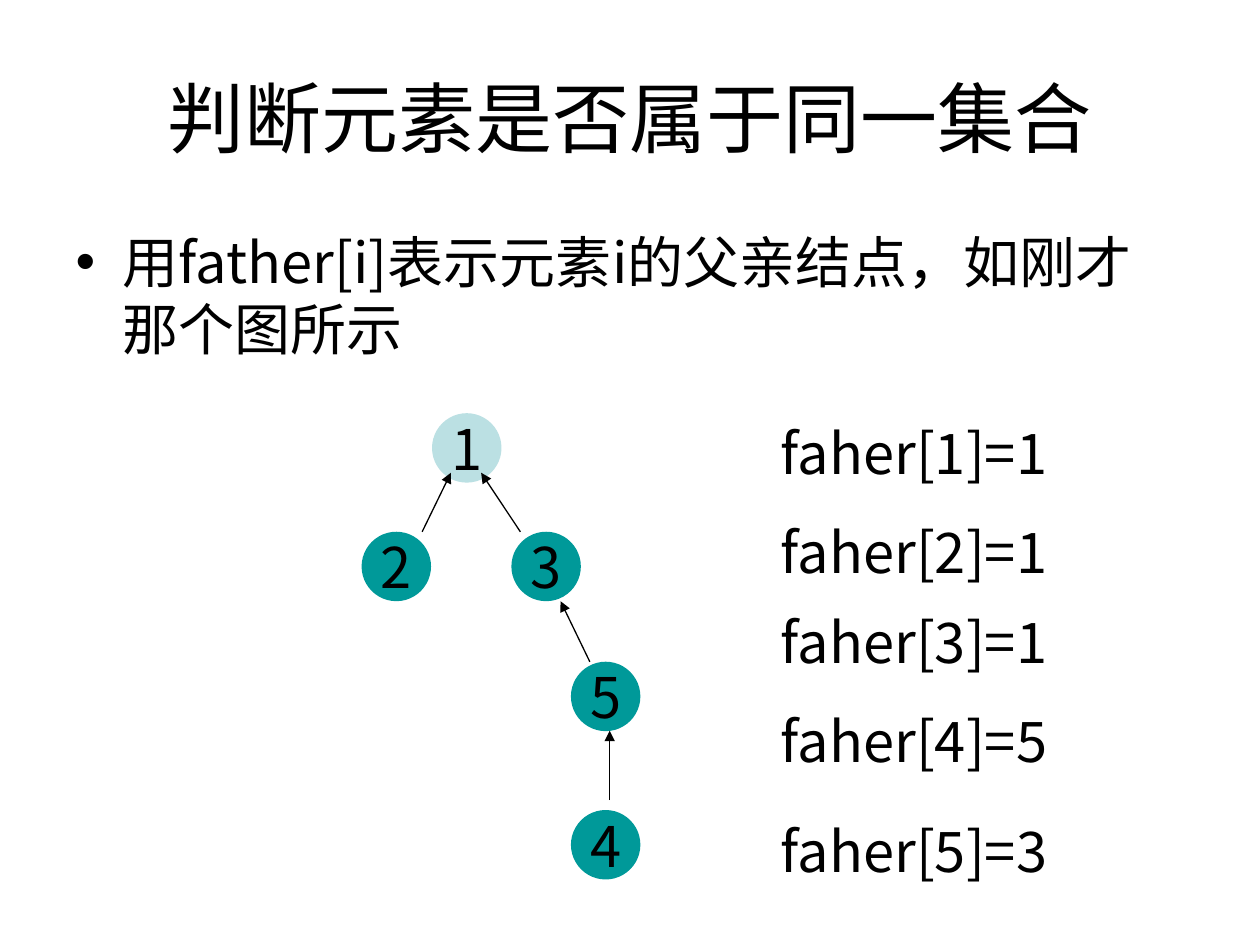
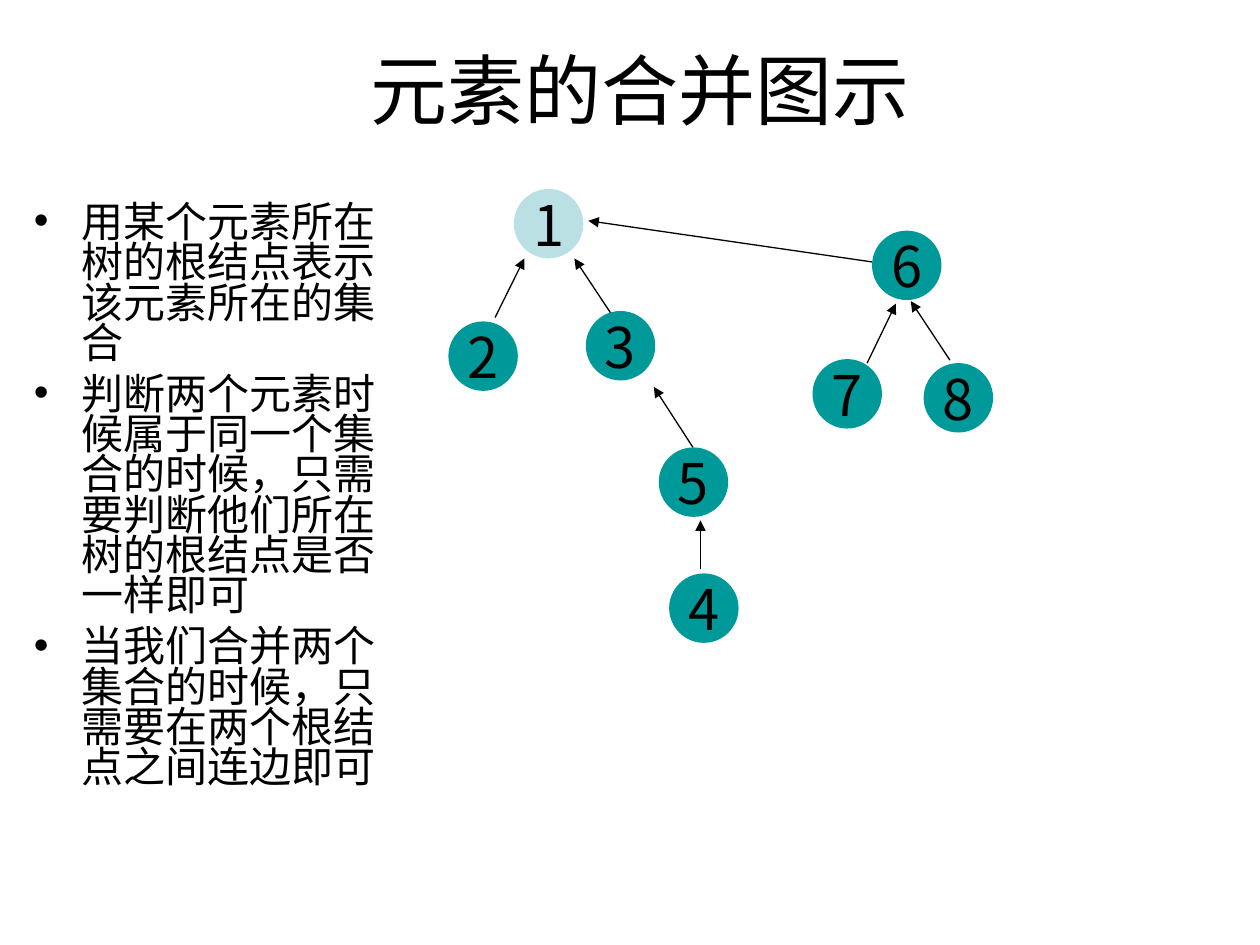
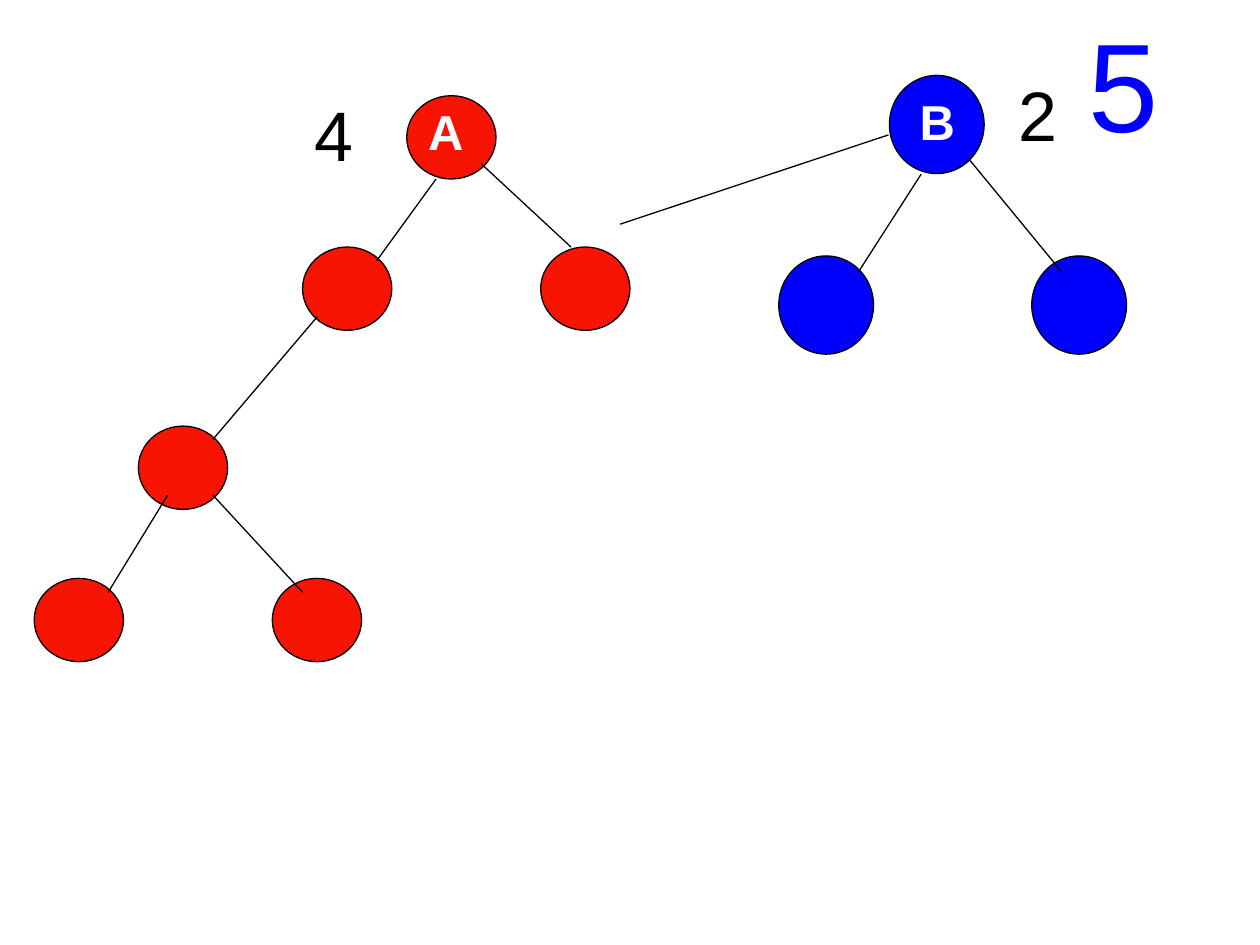
from dataclasses import dataclass
from typing import Any

from lxml import etree
from pptx import Presentation
from pptx import util as u
from pptx.dml.color import RGBColor
from pptx.enum import shapes as es, text as et
from pptx.oxml import ns

INK = {
    "black": "000000",
    "white": "FFFFFF",
    "pale": "BBE0E3",
    "teal": "009999",
    "red": "F71403",
    "blue": "0000FF",
}
LATIN = "Arial"
HAN = "Noto Sans CJK SC"
DISC = 1.4


@dataclass(frozen=True)
class Box:
    left: float
    top: float
    wide: float
    high: float

    def cells(self) -> tuple[u.Length, ...]:
        return tuple(u.Cm(n) for n in (self.left, self.top, self.wide, self.high))


@dataclass(frozen=True)
class Style:
    size: float
    font: str = HAN
    ink: str = "black"
    bold: bool = False


@dataclass(frozen=True)
class Node:
    name: str
    left: float
    top: float
    fill: str = "teal"


@dataclass(frozen=True)
class Edge:
    x: float
    y: float
    to_x: float
    to_y: float


@dataclass(frozen=True)
class Word:
    text: str
    box: Box
    style: Style


@dataclass(frozen=True)
class Tree:
    fill: str
    wide: float
    high: float
    spots: list[tuple[float, float]]
    edges: list[Edge]
    words: list[Word]


HEAD = Style(44, LATIN)
BIG = Style(32)
SMALL = Style(24, LATIN)
MARK = Style(28, LATIN, "white", True)
COUNT = Style(40, LATIN)


def color(name: str) -> RGBColor:
    return RGBColor.from_string(INK[name])


def write(para: Any, text: str, style: Style) -> None:
    run = para.add_run()
    run.text = text
    font = run.font
    font.size, font.name, font.bold = u.Pt(style.size), style.font, style.bold
    font.color.rgb = color(style.ink)
    han = etree.Element(ns.qn("a:ea"), typeface=HAN)
    font._element.find(ns.qn("a:latin")).addnext(han)


def place(shape: Any, box: Box) -> None:
    shape.left, shape.top, shape.width, shape.height = box.cells()


def add_title(slide: Any, text: str, box: Box) -> None:
    title = slide.shapes.title
    place(title, box)
    frame = title.text_frame
    frame.auto_size = et.MSO_AUTO_SIZE.NONE
    frame.vertical_anchor = et.MSO_ANCHOR.MIDDLE
    para = frame.paragraphs[0]
    para.alignment = et.PP_ALIGN.CENTER
    write(para, text, HEAD)


def add_list(slide: Any, items: list[str], box: Box, style: Style,
             pitch: float = 1.0, gap: float = 0) -> None:
    body = slide.placeholders[1]
    place(body, box)
    frame = body.text_frame
    frame.auto_size = et.MSO_AUTO_SIZE.NONE
    for i, item in enumerate(items):
        para = frame.add_paragraph() if i else frame.paragraphs[0]
        para.line_spacing = pitch
        para.space_before = u.Pt(gap if i else 0)
        write(para, item, style)


def add_oval(shapes: Any, box: Box, fill: str, edged: bool = False) -> Any:
    oval = shapes.add_shape(es.MSO_SHAPE.OVAL, *box.cells())
    oval.shadow.inherit = False
    oval.fill.solid()
    oval.fill.fore_color.rgb = color(fill)
    if edged:
        oval.line.color.rgb = color("black")
        oval.line.width = u.Pt(0.75)
    else:
        oval.line.fill.background()
    return oval


def add_node(shapes: Any, node: Node) -> None:
    oval = add_oval(shapes, Box(node.left, node.top, DISC, DISC), node.fill)
    frame = oval.text_frame
    frame.word_wrap = False
    frame.vertical_anchor = et.MSO_ANCHOR.MIDDLE
    para = frame.paragraphs[0]
    para.alignment = et.PP_ALIGN.CENTER
    write(para, node.name, BIG)


def add_edge(shapes: Any, edge: Edge, arrow: bool = False) -> None:
    ends = (u.Cm(n) for n in (edge.x, edge.y, edge.to_x, edge.to_y))
    link = shapes.add_connector(es.MSO_CONNECTOR.STRAIGHT, *ends)
    link.line.color.rgb = color("black")
    link.line.width = u.Pt(0.75)
    props = link._element.spPr
    if arrow:
        line = props.find(ns.qn("a:ln"))
        etree.SubElement(line, ns.qn("a:tailEnd"), type="triangle")
    etree.SubElement(props, ns.qn("a:effectLst"))


def add_word(shapes: Any, word: Word) -> None:
    label = shapes.add_textbox(*word.box.cells())
    label.text_frame.word_wrap = True
    write(label.text_frame.paragraphs[0], word.text, word.style)


def add_tree(slide: Any, tree: Tree) -> None:
    shapes = slide.shapes.add_group_shape().shapes
    for left, top in tree.spots:
        add_oval(shapes, Box(left, top, tree.wide, tree.high), tree.fill, True)
    for edge in tree.edges:
        add_edge(shapes, edge)
    for word in tree.words:
        add_word(shapes, word)


def draw_fathers(slide: Any) -> None:
    add_title(slide, "判断元素是否属于同一集合", Box(1.27, 0.76, 22.86, 3.18))
    add_list(slide, ["用father[i]表示元素i的父亲结点，如刚才那个图所示"],
             Box(1.27, 4.45, 22.86, 12.57), BIG)
    for node in (
        Node("1", 8.71, 8.33, "pale"),
        Node("2", 7.29, 10.72),
        Node("3", 10.31, 10.72),
        Node("5", 11.51, 13.34),
        Node("4", 11.51, 16.33),
    ):
        add_node(slide.shapes, node)
    for edge in (
        Edge(8.51, 10.72, 9.09, 9.53),
        Edge(10.49, 10.72, 9.7, 9.53),
        Edge(11.89, 13.34, 11.3, 12.12),
        Edge(12.29, 16.13, 12.29, 14.73),
    ):
        add_edge(slide.shapes, edge, True)
    rows = zip((1, 1, 1, 5, 3), (8.31, 10.31, 12.12, 14.12, 16.33))
    for i, (father, top) in enumerate(rows, 1):
        box = Box(15.49, top, 6.6, 1.63)
        add_word(slide.shapes, Word(f"faher[{i}]={father}", box, BIG))


def draw_merge(slide: Any) -> None:
    add_title(slide, "元素的合并图示", Box(1.47, 0.2, 22.86, 3.18))
    add_list(slide, [
        "用某个元素所在树的根结点表示该元素所在的集合",
        "判断两个元素时候属于同一个集合的时候，只需要判断他们所在树的根结点是否一样即可",
        "当我们合并两个集合的时候，只需要在两个根结点之间连边即可",
    ], Box(0.43, 4.01, 7.62, 12.57), SMALL, 0.8, 6)
    for edge in (
        Edge(12.37, 6.4, 11.58, 5.21),
        Edge(9.98, 6.4, 10.57, 5.21),
        Edge(14.12, 11.48, 14.12, 10.49),
        Edge(13.97, 9.02, 13.18, 7.8),
        Edge(19.15, 7.26, 18.36, 6.07),
        Edge(17.48, 7.32, 18.06, 6.12),
        Edge(17.58, 5.28, 11.86, 4.45),
    ):
        add_edge(slide.shapes, edge, True)
    for node in (
        Node("1", 10.36, 3.81, "pale"),
        Node("3", 11.81, 6.27),
        Node("2", 9.04, 6.48),
        Node("4", 13.49, 11.56),
        Node("5", 13.28, 9.02),
        Node("6", 17.58, 4.65),
        Node("8", 18.62, 7.32),
        Node("7", 16.38, 7.24),
    ):
        add_node(slide.shapes, node)


def draw_sizes(slide: Any) -> None:
    add_tree(slide, Tree(
        "blue", 1.91, 1.98,
        [(17.93, 1.52), (15.7, 5.16), (20.8, 5.16)],
        [Edge(18.57, 3.51, 17.3, 5.49), Edge(19.51, 3.18, 21.41, 5.49)],
        [Word("B", Box(18.29, 1.73, 1.19, 1.45), MARK),
         Word("2", Box(20.29, 1.32, 2.01, 1.96), COUNT)],
    ))
    add_tree(slide, Tree(
        "red", 1.8, 1.68,
        [(8.2, 1.93), (6.1, 4.98), (10.9, 4.98),
         (2.79, 8.59), (0.69, 11.66), (5.49, 11.66)],
        [Edge(8.79, 3.61, 7.59, 5.26), Edge(6.4, 6.38, 4.29, 8.86),
         Edge(3.38, 9.98, 2.18, 11.94), Edge(4.29, 9.98, 6.1, 11.94),
         Edge(9.7, 3.3, 11.51, 4.98)],
        [Word("A", Box(8.38, 1.93, 2.11, 1.45), MARK),
         Word("4", Box(6.1, 1.73, 2.59, 1.96), COUNT)],
    ))
    add_edge(slide.shapes, Edge(17.91, 2.72, 12.5, 4.52))
    total = Style(72, LATIN, "blue")
    add_word(slide.shapes, Word("5", Box(21.69, 0, 3.7, 3.3), total))


def main() -> None:
    deck = Presentation()
    deck.slide_width, deck.slide_height = u.Cm(25.4), u.Cm(19.05)
    for draw, layout in ((draw_fathers, 1), (draw_merge, 1), (draw_sizes, 6)):
        slide = deck.slides.add_slide(deck.slide_layouts[layout])
        slide.background.fill.solid()
        slide.background.fill.fore_color.rgb = color("white")
        draw(slide)
    deck.save("out.pptx")


if __name__ == "__main__":
    main()
